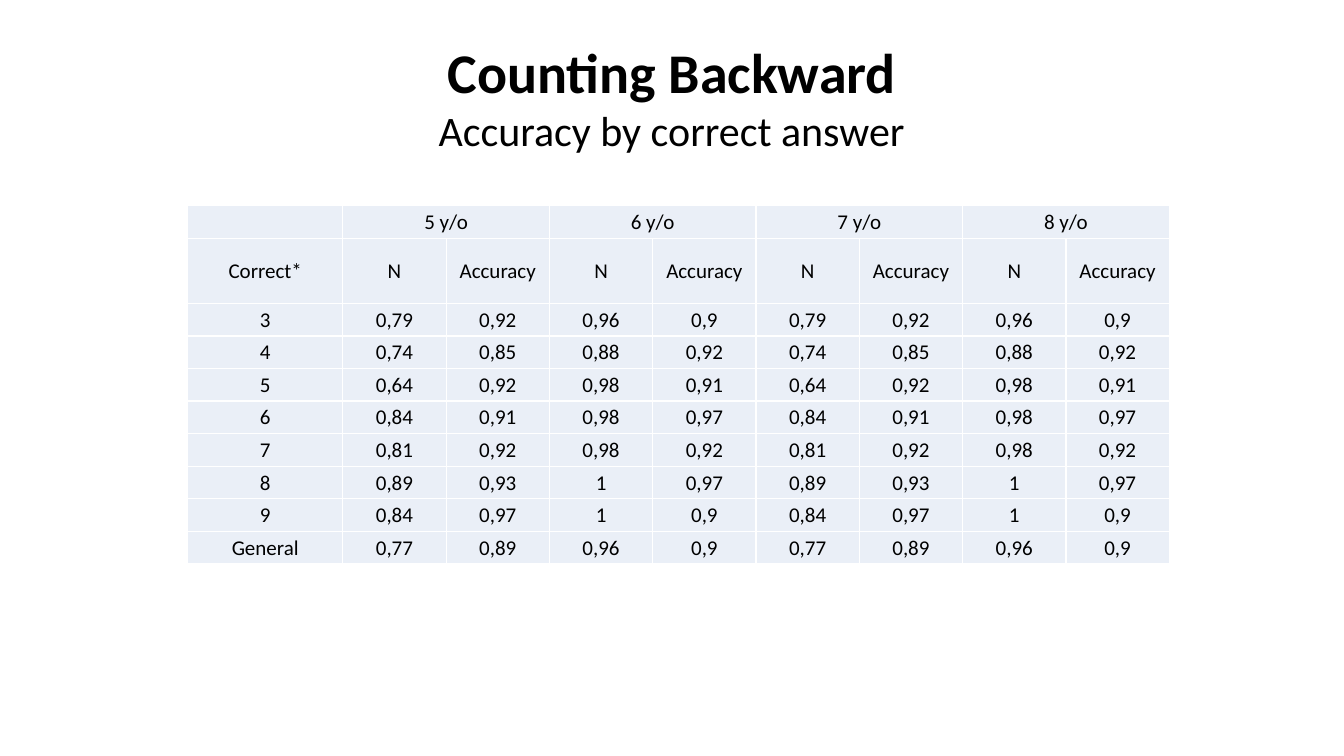
from typing import NamedTuple

import pptx
import pptx.dml.color
import pptx.enum.text
import pptx.oxml
import pptx.oxml.ns
import pptx.util

Pt = pptx.util.Pt
RGBColor = pptx.dml.color.RGBColor
CENTER = pptx.enum.text.PP_ALIGN.CENTER
MIDDLE = pptx.enum.text.MSO_ANCHOR.MIDDLE

BLACK = RGBColor(0x00, 0x00, 0x00)
WHITE = RGBColor(0xFF, 0xFF, 0xFF)
PALE_BLUE = RGBColor(0xEA, 0xEF, 0xF7)
FONT = "Calibri"

LABEL_W, VALUE_W = 110.9, 73.8
ROW_H = 23.25


class Heading(NamedTuple):
    text: str
    size: float
    bold: bool


class Result(NamedTuple):
    answer: str
    values: tuple[str, str, str, str]  # N and accuracy for two age groups


HEADINGS = [
    Heading("Counting Backward", 40, True),
    Heading("Accuracy by correct answer", 30, False),
]
AGES = ["5 y/o", "6 y/o", "7 y/o", "8 y/o"]
RESULTS = [
    Result("3", ("0,79", "0,92", "0,96", "0,9")),
    Result("4", ("0,74", "0,85", "0,88", "0,92")),
    Result("5", ("0,64", "0,92", "0,98", "0,91")),
    Result("6", ("0,84", "0,91", "0,98", "0,97")),
    Result("7", ("0,81", "0,92", "0,98", "0,92")),
    Result("8", ("0,89", "0,93", "1", "0,97")),
    Result("9", ("0,84", "0,97", "1", "0,9")),
    Result("General", ("0,77", "0,89", "0,96", "0,9")),
]


def write(p, text: str, size: float, bold: bool = False) -> None:
    p.text = text
    p.alignment = CENTER
    for r in p.runs:
        r.font.name = FONT
        r.font.size = Pt(size)
        r.font.bold = bold
        r.font.color.rgb = BLACK


def add_borders(cell) -> None:
    tc_pr = cell._tc.get_or_add_tcPr()
    for i, side in enumerate(("lnL", "lnR", "lnT", "lnB")):
        tc_pr.insert(i, pptx.oxml.parse_xml(
            f'<a:{side} {pptx.oxml.ns.nsdecls("a")} w="{Pt(1)}"><a:solidFill>'
            f'<a:srgbClr val="{WHITE}"/></a:solidFill></a:{side}>'))


def style_cell(cell, text: str) -> None:
    cell.margin_left = cell.margin_right = cell.margin_top = Pt(0.7)
    cell.margin_bottom = Pt(0)
    cell.vertical_anchor = MIDDLE
    cell.fill.solid()
    cell.fill.fore_color.rgb = PALE_BLUE
    add_borders(cell)
    if text:
        write(cell.text_frame.paragraphs[0], text, 15)


def add_title(s) -> None:
    tf = s.shapes.add_textbox(Pt(292.3), Pt(23), Pt(375.1), Pt(92.2)).text_frame
    tf.word_wrap = True
    tf.auto_size = pptx.enum.text.MSO_AUTO_SIZE.SHAPE_TO_FIT_TEXT
    for i, heading in enumerate(HEADINGS):
        p = tf.add_paragraph() if i else tf.paragraphs[0]
        write(p, heading.text, heading.size, heading.bold)


def add_results(s) -> None:
    # The second pair of age groups has the same values as the first
    rows = [[""] + [text for age in AGES for text in (age, "")],
            ["Correct*"] + ["N", "Accuracy"] * len(AGES)]
    rows += [[result.answer, *result.values * 2] for result in RESULTS]
    widths = [LABEL_W] + [VALUE_W] * 2 * len(AGES)
    heights = [ROW_H, 2 * ROW_H] + [ROW_H] * len(RESULTS)

    table = s.shapes.add_table(len(rows), len(widths), Pt(134), Pt(147),
                               Pt(sum(widths)), Pt(sum(heights))).table
    for column, width in zip(table.columns, widths):
        column.width = Pt(width)
    for row, height in zip(table.rows, heights):
        row.height = Pt(height)
    for i, texts in enumerate(rows):
        for j, text in enumerate(texts):
            style_cell(table.cell(i, j), text)

    # Each age spans its N and Accuracy columns
    for j in range(1, len(widths), 2):
        table.cell(0, j).merge(table.cell(0, j + 1))


def main() -> None:
    prs = pptx.Presentation()
    prs.slide_width, prs.slide_height = Pt(960), Pt(540)
    s = prs.slides.add_slide(prs.slide_layouts[6])
    add_title(s)
    add_results(s)
    prs.save("out.pptx")


if __name__ == "__main__":
    main()
